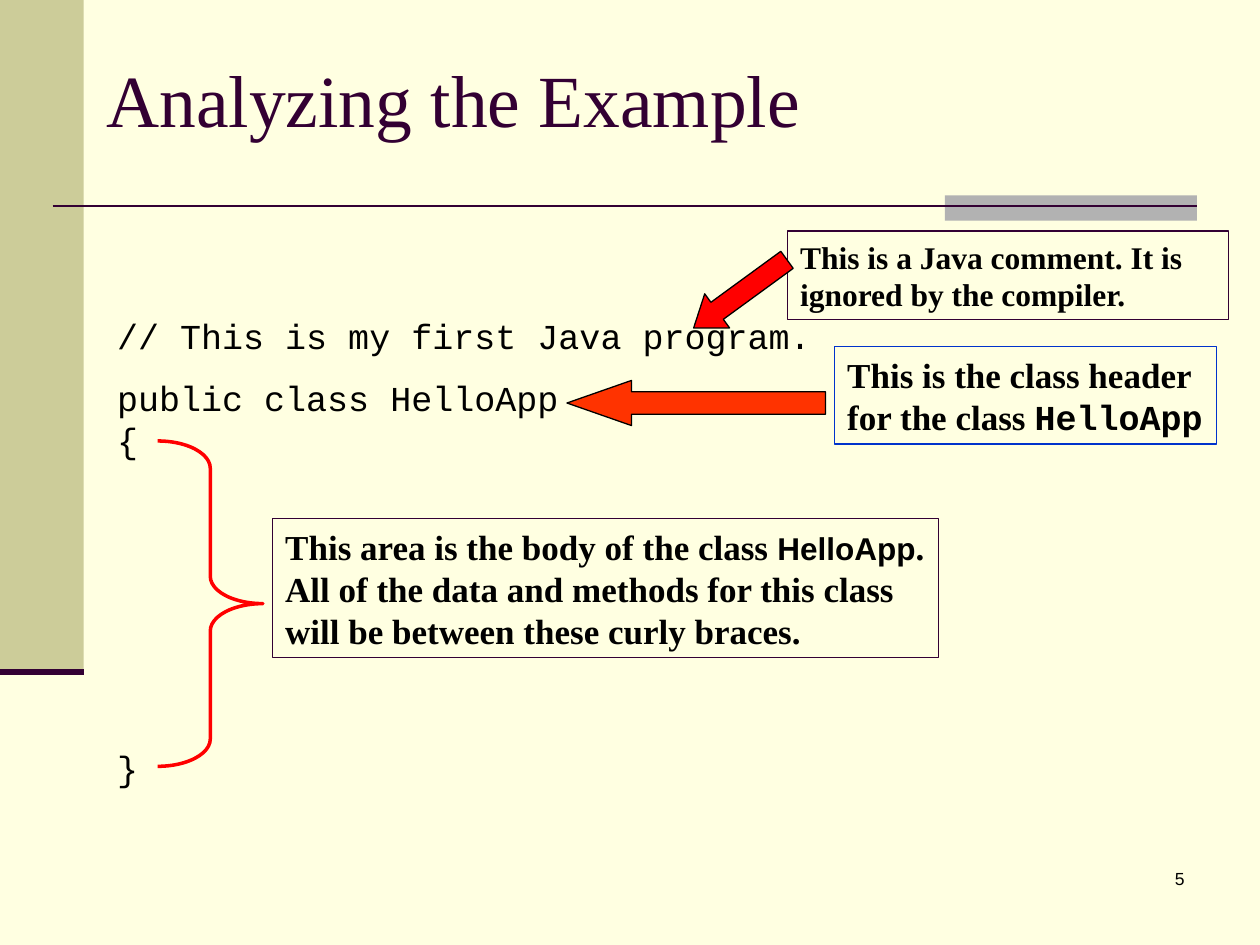
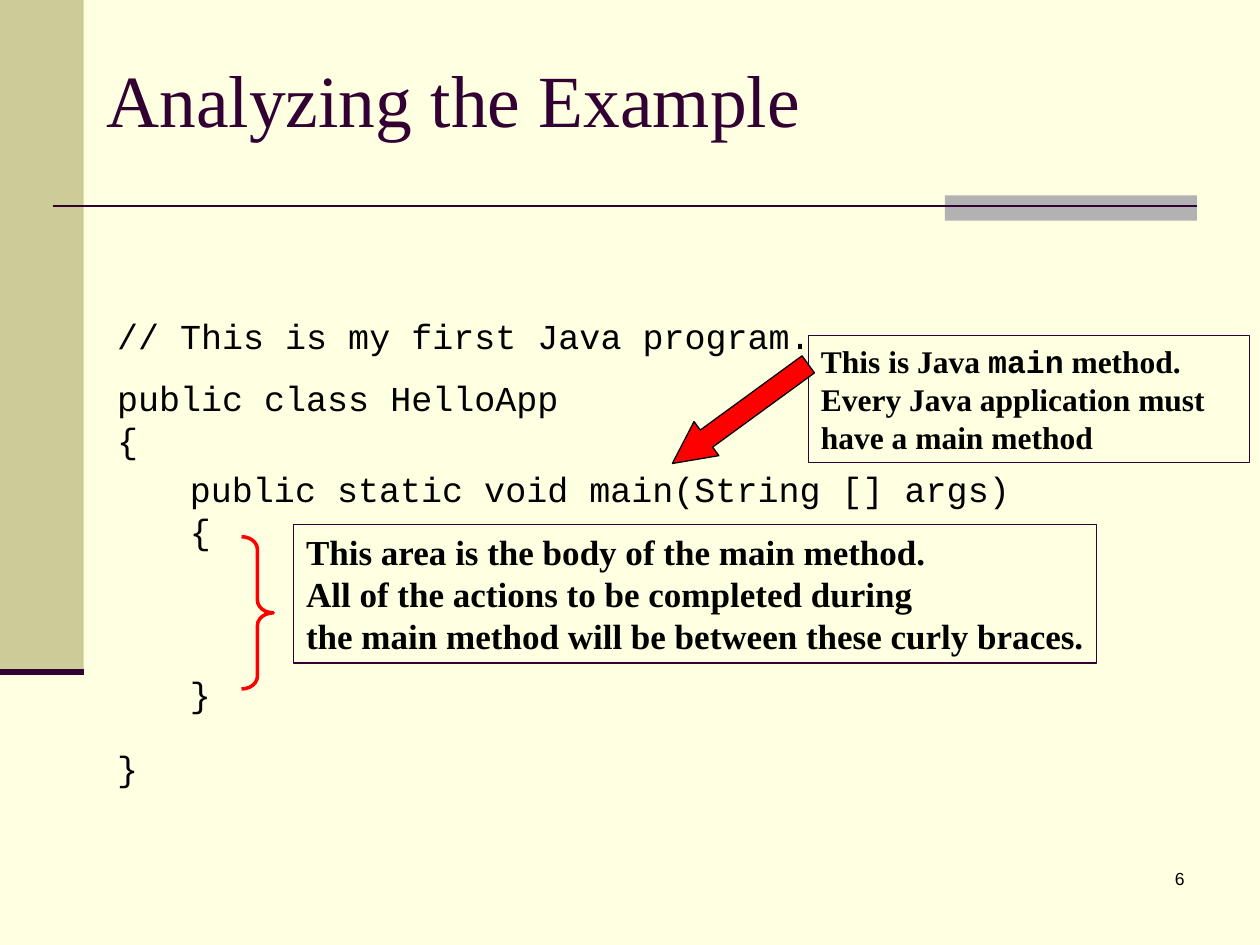
from lxml import etree
from pptx import Presentation
from pptx.dml.color import RGBColor
from pptx.enum.shapes import MSO_CONNECTOR, MSO_SHAPE
from pptx.enum.text import MSO_ANCHOR, PP_ALIGN
from pptx.oxml.ns import qn
from pptx.util import Cm, Pt

RECTANGLE, LEFT_ARROW = MSO_SHAPE.RECTANGLE, MSO_SHAPE.LEFT_ARROW
RIGHT_BRACE, STRAIGHT = MSO_SHAPE.RIGHT_BRACE, MSO_CONNECTOR.STRAIGHT
TOP, MIDDLE = MSO_ANCHOR.TOP, MSO_ANCHOR.MIDDLE
LEFT, RIGHT = PP_ALIGN.LEFT, PP_ALIGN.RIGHT

CREAM, KHAKI, GREY, PLUM = "FFFFE1", "CCCC99", "B2B2B2", "330033"
RED, ORANGE, BLUE, BLACK = "FF0000", "FF3300", "0033CC", "000000"

TITLE = {"name": "Times New Roman", "size": 42, "color": PLUM}
CODE = {"name": "Courier New", "size": 20, "color": BLACK}
NUMBER = {"name": "Arial", "size": 10, "color": BLACK}
LARGE = {"name": "Times New Roman", "size": 20, "bold": True, "color": BLACK}
SMALL = {**LARGE, "size": 18}
LARGE_CODE = {**LARGE, "name": "Courier New"}
SMALL_CODE = {**SMALL, "name": "Courier New"}
SMALL_SANS = {**SMALL, "name": "Arial"}

COMMENT_CODE = {
    "at": (2.11, 6.22, 14.5, 1.12),
    "lines": ["// This is my first Java program."],
}
CLASS_CODE = {
    "at": (2.11, 7.47, 12.9, 8.51),
    "lines": ["public class HelloApp", "{", "}"],
    "gap": 163,
}
MAIN_CODE = {
    "at": (3.58, 9.3, 17.8, 6.22),
    "lines": ["public static void main(String [] args)", "{", "}"],
    "gap": 69,
}

SLIDES = [
    {
        "title": "Analyzing the Example",
        "number": 5,
        "code": [CLASS_CODE, COMMENT_CODE],
        "callouts": [
            {
                "at": (5.5, 10.46, 13.42, 2.8),
                "lines": [
                    [("This area is the body of the class ", LARGE), ("HelloApp", SMALL_SANS), (".", LARGE)],
                    [("All of the data and methods for this class", LARGE)],
                    [("will be between these curly braces.", LARGE)],
                ],
            },
            {
                "at": (15.88, 4.66, 8.89, 1.78),
                "lines": [[("This is a Java comment. It is ignored by the compiler.", SMALL)]],
            },
            {
                "at": (16.83, 6.99, 7.7, 1.96),
                "lines": [
                    [("This is the class header", LARGE)],
                    [("for the class ", LARGE), ("HelloApp", LARGE_CODE)],
                ],
                "line": BLUE,
            },
        ],
        "brace": {"at": (3.18, 8.89, 2.12, 6.56), "curve": 0.26},
        "arrows": [
            {"at": (13.76, 5.5, 2.33, 0.85), "head": 0.69, "turn": 323.9, "fill": RED},
            {"at": (11.43, 7.67, 5.21, 0.91), "head": 1.43, "turn": 0, "fill": ORANGE},
        ],
    },
    {
        "title": "Analyzing the Example",
        "number": 6,
        "code": [CLASS_CODE, COMMENT_CODE, MAIN_CODE],
        "callouts": [
            {
                "at": (5.92, 10.57, 16.19, 2.8),
                "lines": [
                    [("This area is the body of the main method.", LARGE)],
                    [("All of the actions to be completed during", LARGE)],
                    [("the main method will be between these curly braces.", LARGE)],
                ],
            },
            {
                "at": (16.3, 6.77, 8.89, 2.55),
                "lines": [[
                    ("This is Java ", SMALL),
                    ("main", SMALL_CODE),
                    (" method. Every Java application must have a main method", SMALL),
                ]],
            },
        ],
        "brace": {"at": (4.87, 10.82, 0.64, 3.07), "curve": 0.4},
        "arrows": [
            {"at": (13.23, 7.92, 3.39, 0.85), "head": 1.0, "turn": 323.9, "fill": RED},
        ],
    },
]


def rgb(value):
    return RGBColor.from_string(value)


def lengths(values):
    return [Cm(value) for value in values]


def style(font, look):
    for key, value in look.items():
        if key == "color":
            font.color.rgb = rgb(value)
        else:
            setattr(font, key, Pt(value) if key == "size" else value)


def write(box, lines, align=LEFT, anchor=TOP, gap=0, right=0):
    frame = box.text_frame
    settings = {
        "word_wrap": True, "vertical_anchor": anchor,
        "margin_left": Cm(0.25), "margin_right": Cm(right),
        "margin_top": Cm(0.13), "margin_bottom": Cm(0.13),
    }
    for key, value in settings.items():
        setattr(frame, key, value)
    for index, spans in enumerate(lines):
        para = frame.add_paragraph() if index else frame.paragraphs[0]
        para.alignment = align
        if gap and index == len(lines) - 1:
            para.space_before = Pt(gap)
        for text, look in spans:
            span = para.add_run()
            span.text = text
            style(span.font, look)


def add_text(page, at, lines, **layout):
    write(page.shapes.add_textbox(*lengths(at)), lines, **layout)


def add_figure(page, kind, at, fill=None, line=None, weight=0.75):
    shape = page.shapes.add_shape(kind, *lengths(at))
    shape.shadow.inherit = False
    if fill:
        shape.fill.solid()
        shape.fill.fore_color.rgb = rgb(fill)
    else:
        shape.fill.background()
    if line:
        shape.line.color.rgb = rgb(line)
        shape.line.width = Pt(weight)
    else:
        shape.line.fill.background()
    return shape


def add_rule(page, ends, weight):
    rule = page.shapes.add_connector(STRAIGHT, *lengths(ends))
    rule.line.color.rgb = rgb(PLUM)
    rule.line.width = Pt(weight)
    etree.SubElement(rule._element.spPr, qn("a:effectLst"))


def add_frame(page, title, number):
    page.background.fill.solid()
    page.background.fill.fore_color.rgb = rgb(CREAM)
    add_figure(page, RECTANGLE, (0, 0, 1.69, 13.55), KHAKI)
    add_figure(page, RECTANGLE, (19.05, 3.94, 5.08, 0.51), GREY)
    add_rule(page, (1.06, 4.15, 24.13, 4.15), 1.5)
    add_rule(page, (0, 13.55, 1.69, 13.55), 3.5)
    add_text(page, (18.84, 17.36, 5.29, 1.27), [[(str(number), NUMBER)]], align=RIGHT, right=0.25)
    add_text(page, (1.9, 0, 21.59, 3.97), [[(title, TITLE)]], anchor=MIDDLE)


def build_slide(deck, content):
    page = deck.slides.add_slide(deck.slide_layouts[6])
    add_frame(page, content["title"], content["number"])
    for code in content["code"]:
        lines = [[(line, CODE)] for line in code["lines"]]
        add_text(page, code["at"], lines, gap=code.get("gap", 0))
    for callout in content["callouts"]:
        box = add_figure(page, RECTANGLE, callout["at"], line=callout.get("line", PLUM))
        write(box, callout["lines"])
    brace = add_figure(page, RIGHT_BRACE, content["brace"]["at"], line=RED, weight=2)
    brace.adjustments[0] = content["brace"]["curve"]
    for item in content["arrows"]:
        arrow = add_figure(page, LEFT_ARROW, item["at"], item["fill"], BLACK)
        arrow.adjustments[1] = item["head"]
        arrow.rotation = item["turn"]


def main():
    deck = Presentation()
    deck.slide_width, deck.slide_height = Cm(25.4), Cm(19.05)
    for content in SLIDES:
        build_slide(deck, content)
    deck.save("out.pptx")


if __name__ == "__main__":
    main()
